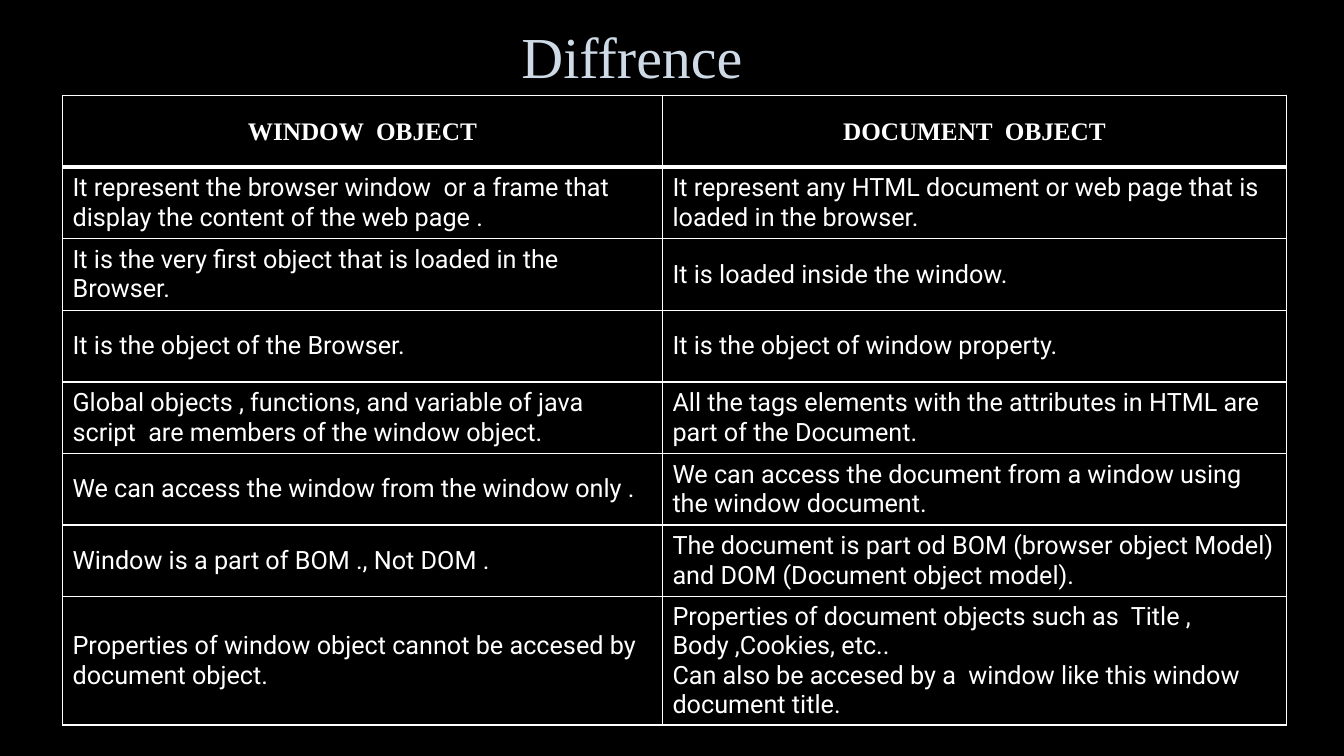
from lxml import etree
from pptx import Presentation
from pptx.dml.color import RGBColor
from pptx.enum.text import MSO_ANCHOR, PP_ALIGN
from pptx.oxml.ns import qn
from pptx.util import Inches, Pt

MIDDLE = MSO_ANCHOR.MIDDLE
CENTER, LEFT = PP_ALIGN.CENTER, PP_ALIGN.LEFT
BLACK = RGBColor(0x00, 0x00, 0x00)
WHITE = RGBColor(0xFF, 0xFF, 0xFF)
PALE_BLUE = RGBColor(0xCE, 0xDB, 0xE6)

TITLE_FONT = {"name": "Times New Roman", "size": Pt(41.4), "bold": False}
HEADER_FONT = {"name": "Times New Roman", "size": Pt(18), "bold": True}
BODY_FONT = {"name": "Roboto", "size": Pt(18), "bold": False}

COL_WIDTHS = [5.95, 6.19]
ROW_HEIGHTS = [0.71] * 7 + [1.25]
THIN, THICK = 1, 3

ROWS = [
    ("WINDOW  OBJECT", "DOCUMENT  OBJECT"),
    ("It represent the browser window  or a frame that display the content of the web page .",
     "It represent any HTML document or web page that is loaded in the browser."),
    ("It is the very first object that is loaded in the Browser.",
     "It is loaded inside the window."),
    ("It is the object of the Browser.",
     "It is the object of window property."),
    ("Global objects , functions, and variable of java script  are members of the window object.",
     "All the tags elements with the attributes in HTML are part of the Document."),
    ("We can access the window from the window only .",
     "We can access the document from a window using the window document."),
    ("Window is a part of BOM ., Not DOM .",
     "The document is part od BOM (browser object Model) and DOM (Document object model)."),
    ("Properties of window object cannot be accesed by document object.",
     "Properties of document objects such as  Title , Body ,Cookies, etc..\n"
     "Can also be accesed by a  window like this window document title."),
]


def format_text(tf, font, color, align):
    for p in tf.paragraphs:
        p.alignment = align
        for r in p.runs:
            for name, value in font.items():
                setattr(r.font, name, value)
            r.font.color.rgb = color


def set_borders(cell, widths):
    tcPr = cell._tc.get_or_add_tcPr()
    for i, (side, width) in enumerate(widths.items()):
        ln = etree.Element(qn(f"a:ln{side}"), w=str(Pt(width)))
        fill = etree.SubElement(ln, qn("a:solidFill"))
        etree.SubElement(fill, qn("a:srgbClr"), val=str(WHITE))
        tcPr.insert(i, ln)


def add_title(s, text, left, top, width, height):
    sp = s.shapes.title
    box = {"left": left, "top": top, "width": width, "height": height}
    for name, value in box.items():
        setattr(sp, name, Inches(value))
    tf = sp.text_frame
    tf.text = text
    tf.vertical_anchor = MIDDLE
    tf.paragraphs[0].line_spacing = 0.9
    format_text(tf, TITLE_FONT, PALE_BLUE, CENTER)


def fill_cell(cell, text, row):
    cell.text = text
    cell.vertical_anchor = MIDDLE
    cell.fill.solid()
    cell.fill.fore_color.rgb = BLACK
    font, align = (HEADER_FONT, CENTER) if row == 0 else (BODY_FONT, LEFT)
    format_text(cell.text_frame, font, WHITE, align)
    set_borders(cell, {"L": THIN, "R": THIN,
                       "T": THICK if row == 1 else THIN,
                       "B": THICK if row == 0 else THIN})


def add_comparison(s, left, top):
    table = s.shapes.add_table(
        len(ROWS), len(COL_WIDTHS), Inches(left), Inches(top),
        Inches(sum(COL_WIDTHS)), Inches(sum(ROW_HEIGHTS))).table
    for col, width in zip(table.columns, COL_WIDTHS):
        col.width = Inches(width)
    for i, (height, texts) in enumerate(zip(ROW_HEIGHTS, ROWS)):
        table.rows[i].height = Inches(height)
        for j, text in enumerate(texts):
            fill_cell(table.cell(i, j), text, i)


def main():
    prs = Presentation()
    prs.slide_width, prs.slide_height = Inches(13.33), Inches(7.5)
    s = prs.slides.add_slide(prs.slide_layouts[5])
    s.background.fill.solid()
    s.background.fill.fore_color.rgb = BLACK
    add_title(s, "Diffrence ", 0.62, 0.23, 11.44, 0.72)
    add_comparison(s, 0.62, 0.95)
    prs.save("out.pptx")


if __name__ == "__main__":
    main()
